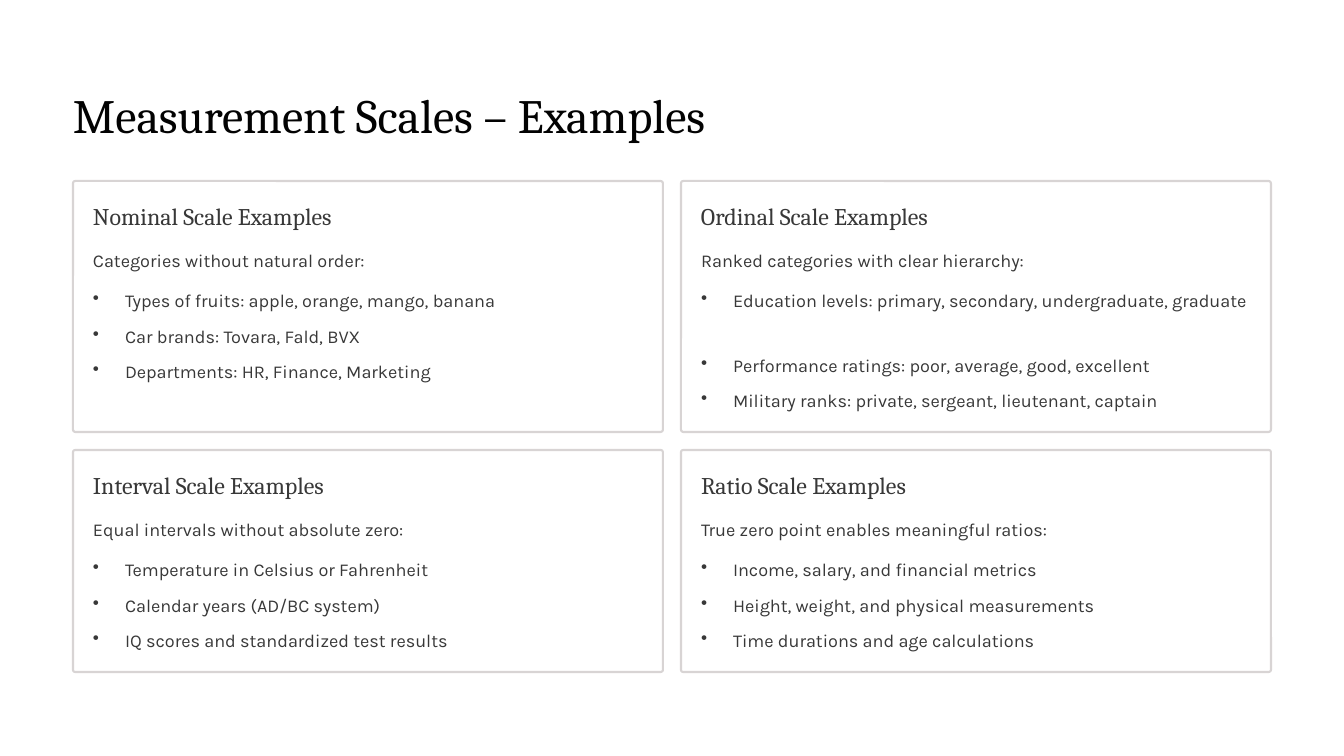
from lxml import etree
from pptx import Presentation
from pptx.dml.color import RGBColor
from pptx.enum.shapes import MSO_SHAPE
from pptx.oxml.ns import qn
from pptx.util import Emu, Pt

ROUNDED = MSO_SHAPE.ROUNDED_RECTANGLE
SCALE = 914400 / 84
COLORS = {"paper": "FFFFFF", "title": "020202", "text": "383838", "border": "D8D4D4"}
SERIF, SANS = "Cambria", "Karla"
COLUMN_LEFTS = [73, 681]
ROWS = [(181, 251), (450, 222)]
CARD_WIDTH, PADDING, TEXT_WIDTH = 590, 20, 549
LINE_HEIGHT, BULLET_INDENT = 29, 32

CARDS = [
    ("Nominal Scale Examples", 261, "Categories without natural order:", [
        ("Types of fruits: apple, orange, mango, banana", 1),
        ("Car brands: Tovara, Fald, BVX", 1),
        ("Departments: HR, Finance, Marketing", 1)]),
    ("Ordinal Scale Examples", 250, "Ranked categories with clear hierarchy:", [
        ("Education levels: primary, secondary, undergraduate, graduate", 2),
        ("Performance ratings: poor, average, good, excellent", 1),
        ("Military ranks: private, sergeant, lieutenant, captain", 1)]),
    ("Interval Scale Examples", 254, "Equal intervals without absolute zero:", [
        ("Temperature in Celsius or Fahrenheit", 1),
        ("Calendar years (AD/BC system)", 1),
        ("IQ scores and standardized test results", 1)]),
    ("Ratio Scale Examples", 239, "True zero point enables meaningful ratios:", [
        ("Income, salary, and financial metrics", 1),
        ("Height, weight, and physical measurements", 1),
        ("Time durations and age calculations", 1)]),
]


def px(length):
    return Emu(round(length * SCALE))


def add_text(area, text, font, size, spacing, color="text", bullet=False):
    box = page.shapes.add_textbox(*map(px, area))
    frame = box.text_frame
    frame.word_wrap = True
    frame.margin_left = frame.margin_right = 0
    frame.margin_top = frame.margin_bottom = 0
    para = frame.paragraphs[0]
    para.line_spacing = Pt(spacing)
    if bullet:
        properties = para._p.get_or_add_pPr()
        properties.set("marL", str(px(BULLET_INDENT)))
        properties.set("indent", str(px(-BULLET_INDENT)))
        etree.SubElement(properties, qn("a:buChar")).set("char", "•")
    span = para.add_run()
    span.text = text
    span.font.name = font
    span.font.size = Pt(size)
    span.font.color.rgb = RGBColor.from_string(COLORS[color])


deck = Presentation()
deck.slide_width, deck.slide_height = px(1344), px(756)
page = deck.slides.add_slide(deck.slide_layouts[6])
page.background.fill.solid()
page.background.fill.fore_color.rgb = RGBColor.from_string(COLORS["paper"])

add_text((73, 84, 689, 60), "Measurement Scales – Examples", SERIF, 41, 51, "title")

for index, (heading, heading_width, summary, examples) in enumerate(CARDS):
    left = COLUMN_LEFTS[index % 2]
    top, height = ROWS[index // 2]
    card = page.shapes.add_shape(ROUNDED, px(left), px(top), px(CARD_WIDTH), px(height))
    card.shadow.inherit = False
    card.adjustments[0] = 0.01
    card.fill.solid()
    card.fill.fore_color.rgb = RGBColor.from_string(COLORS["paper"])
    card.line.color.rgb = RGBColor.from_string(COLORS["border"])
    card.line.width = Pt(1.8)

    text_left = left + PADDING
    add_text((text_left, top + PADDING, heading_width, 30), heading, SERIF, 20.5, 25.5)
    add_text((text_left, top + 61, TEXT_WIDTH, LINE_HEIGHT), summary, SANS, 15.5, 25)
    example_top = top + 101
    for example, lines in examples:
        example_height = lines * LINE_HEIGHT
        add_text((text_left, example_top, TEXT_WIDTH, example_height),
                 example, SANS, 15.5, 25, bullet=True)
        example_top += example_height + 6.5

deck.save("out.pptx")
